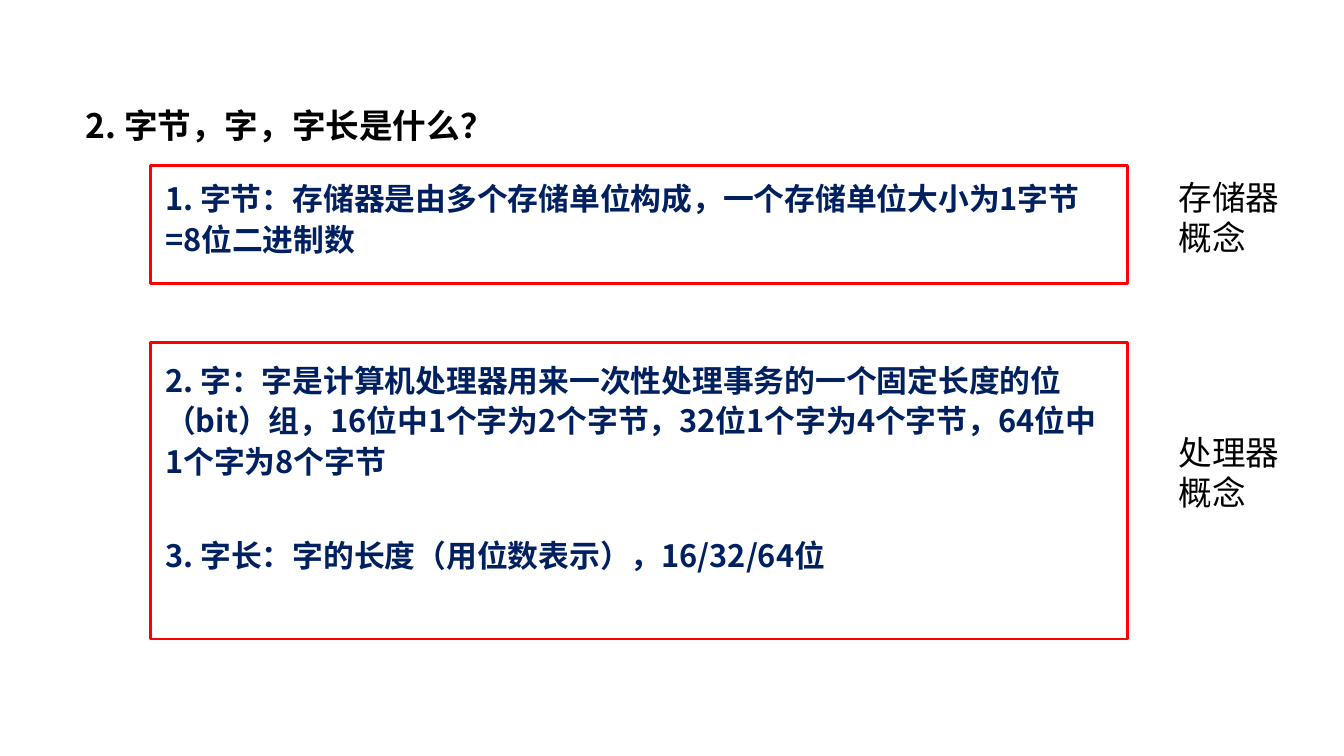
from lxml.etree import SubElement
from pptx import Presentation
from pptx.dml.color import RGBColor
from pptx.enum.shapes import MSO_SHAPE as Shape
from pptx.enum.text import MSO_ANCHOR as Anchor, MSO_AUTO_SIZE as Fit, PP_ALIGN as Align
from pptx.oxml.ns import qn
from pptx.util import Inches, Pt

FONT = "Noto Sans CJK SC"
BLACK = RGBColor(0x00, 0x00, 0x00)
NAVY = RGBColor(0x00, 0x20, 0x60)
RED = RGBColor(0xFF, 0x00, 0x00)
PITCH = 28.9  # line height in points

TITLE = "2. 字节，字，字长是什么？"
# space before in points, text
TERMS = [
    (0, " 字节：存储器是由多个存储单位构成，一个存储单位大小为1字节=8位二进制数"),
    (71.8, "2. 字：字是计算机处理器用来一次性处理事务的一个固定长度的位（bit）组，"
           "16位中1个字为2个字节，32位1个字为4个字节，64位中1个字为8个字节"),
    (38.2, "3. 字长：字的长度（用位数表示），16/32/64位"),
]
# frame top, frame height, label top, label
GROUPS = [
    (1.64, 1.17, 1.7, "存储器概念"),
    (3.4, 2.94, 4.23, "处理器概念"),
]


def place(box, left, top, width, height):
    box.left, box.top = Inches(left), Inches(top)
    box.width, box.height = Inches(width), Inches(height)


def write(box, paras, size, color, bold=False):
    """Fill a box with (space before, text) paragraphs."""
    frame = box.text_frame
    frame.word_wrap = True
    frame.auto_size = Fit.NONE
    frame.vertical_anchor = Anchor.TOP
    for i, (gap, text) in enumerate(paras):
        para = frame.add_paragraph() if i else frame.paragraphs[0]
        para.alignment = Align.LEFT
        para.line_spacing = Pt(PITCH)
        para.space_before = Pt(gap)
        run = para.add_run()
        run.text = text
        font = run.font
        font.name, font.size, font.bold = FONT, Pt(size), bold
        font.color.rgb = color
        props = run._r.get_or_add_rPr()
        props.set("lang", "zh-CN")
        SubElement(props, qn("a:ea"), typeface=FONT)


def add_text(slide, spot, paras, *style):
    box = slide.shapes.add_textbox(*map(Inches, spot))
    write(box, paras, *style)
    return box


def add_frame(slide, top, height):
    rect = slide.shapes.add_shape(
        Shape.RECTANGLE, Inches(1.49), Inches(top), Inches(9.69), Inches(height))
    rect.shadow.inherit = False
    rect.fill.background()
    rect.line.color.rgb = RED
    rect.line.width = Pt(2)


def main():
    deck = Presentation()
    deck.slide_width, deck.slide_height = Inches(13.33), Inches(7.5)
    slide = deck.slides.add_slide(deck.slide_layouts[5])

    title = slide.shapes.title
    place(title, 0.75, 0.99, 8.78, 0.51)
    write(title, [(0, TITLE)], 24, BLACK, True)

    terms = add_text(slide, (1.54, 1.7, 9.56, 4.11), TERMS, 22, NAVY, True)
    first = terms.text_frame.paragraphs[0]._p.get_or_add_pPr()
    SubElement(first, qn("a:buFont"), typeface=FONT)
    SubElement(first, qn("a:buAutoNum"), type="arabicPeriod")

    for top, height, label_top, label in GROUPS:
        add_frame(slide, top, height)
        add_text(slide, (11.59, label_top, 1.24, 0.91), [(0, label)], 24, BLACK)

    deck.save("out.pptx")


if __name__ == "__main__":
    main()
